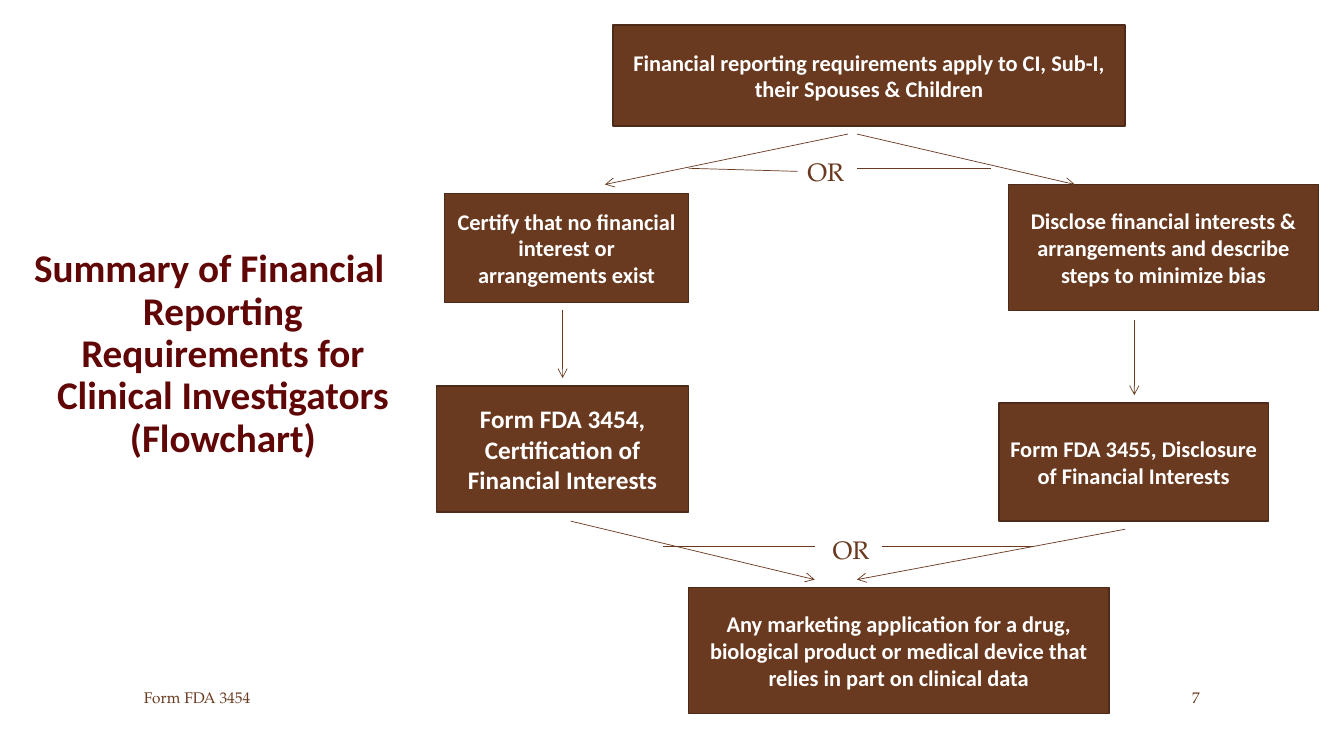
import pptx
import pptx.util
import pptx.dml.color
import pptx.enum.shapes
import pptx.enum.text
import pptx.oxml.ns
import lxml.etree

Inches, Pt = pptx.util.Inches, pptx.util.Pt
RGBColor = pptx.dml.color.RGBColor
PP_ALIGN, MSO_ANCHOR = pptx.enum.text.PP_ALIGN, pptx.enum.text.MSO_ANCHOR

BROWN = RGBColor(0x6A, 0x3A, 0x20)
DARK_BROWN = RGBColor(0x4E, 0x2B, 0x18)
MAROON = RGBColor(0x61, 0x06, 0x06)
WHITE = RGBColor(0xFF, 0xFF, 0xFF)
SANS, SERIF = "Calibri", "TeX Gyre Pagella"

TITLE = "Summary of Financial Reporting Requirements for Clinical Investigators (Flowchart)"
STEPS = [
    ("Financial reporting requirements apply to CI, Sub-I, their Spouses & Children",
     (6.08, 0.25, 5.08, 1), 16),
    ("Certify that no financial interest or arrangements exist",
     (4.41, 1.92, 2.42, 1.08), 16),
    ("Disclose financial interests & arrangements and describe steps to minimize bias",
     (10, 1.83, 3.08, 1.25), 16),
    ("Form FDA 3454, Certification of Financial Interests",
     (4.33, 3.83, 2.5, 1.25), 18),
    ("Form FDA 3455, Disclosure of Financial Interests",
     (9.91, 4, 2.67, 1.17), 16),
    ("Any marketing application for a drug, biological product or medical device "
     "that relies in part on clinical data",
     (6.83, 5.83, 4.17, 1.25), 16),
]
ARROWS = [
    (8.41, 1.33, 6, 1.83),
    (8.5, 1.33, 10.66, 1.83),
    (5.58, 3.08, 5.58, 3.75),
    (11.25, 3.17, 11.25, 3.92),
    (5.66, 5.17, 8.08, 5.75),
    (11.16, 5.25, 8.5, 5.75),
]
OR_LINES = [
    (6.83, 1.67, 7.91, 1.7),
    (8.5, 1.67, 9.83, 1.67),
    (6.58, 5.42, 8.08, 5.42),
    (8.75, 5.42, 10.25, 5.42),
]
LABELS = [
    ("OR", (7.91, 1.5, 0.83, 0.4), 18, PP_ALIGN.LEFT, MSO_ANCHOR.TOP),
    ("OR", (8.16, 5.25, 0.67, 0.4), 18, PP_ALIGN.LEFT, MSO_ANCHOR.TOP),
    ("Form FDA 3454", (1.33, 6.75, 5.4, 0.33), 11, PP_ALIGN.LEFT, MSO_ANCHOR.MIDDLE),
    ("7", (11.22, 6.75, 0.78, 0.33), 11, PP_ALIGN.RIGHT, MSO_ANCHOR.MIDDLE),
]


def write(sp, text, size, name, color, bold, align, anchor):
    tf = sp.text_frame
    tf.word_wrap = True
    tf.auto_size = pptx.enum.text.MSO_AUTO_SIZE.NONE
    tf.vertical_anchor = anchor
    p = tf.paragraphs[0]
    p.text = text
    p.alignment = align
    p.font.size = Pt(size)
    p.font.name = name
    p.font.bold = bold
    p.font.color.rgb = color
    return p


def add_line(s, ends, arrow):
    line = s.shapes.add_connector(
        pptx.enum.shapes.MSO_CONNECTOR.STRAIGHT, *map(Inches, ends))
    line.line.color.rgb = BROWN
    line.line.width = Pt(0.5)
    qn = pptx.oxml.ns.qn
    if arrow:
        lxml.etree.SubElement(line.line._get_or_add_ln(), qn("a:tailEnd"), type="arrow")
    lxml.etree.SubElement(line._element.spPr, qn("a:effectLst"))


def main():
    prs = pptx.Presentation()
    prs.slide_width, prs.slide_height = Inches(13.33), Inches(7.5)
    s = prs.slides.add_slide(prs.slide_layouts[5])

    title = s.shapes.title
    title.left, title.top, title.width, title.height = map(Inches, (0.16, 2.42, 3.83, 2.28))
    p = write(title, TITLE, 28, SANS, MAROON, True, PP_ALIGN.CENTER, MSO_ANCHOR.TOP)
    p.line_spacing = 0.9
    pPr = p._p.get_or_add_pPr()
    pPr.set("marL", str(Inches(0.27)))
    pPr.set("indent", str(Inches(-0.27)))

    for text, box, size in STEPS:
        sp = s.shapes.add_shape(
            pptx.enum.shapes.MSO_SHAPE.RECTANGLE, *map(Inches, box))
        sp.shadow.inherit = False
        sp.fill.solid()
        sp.fill.fore_color.rgb = BROWN
        sp.line.color.rgb = DARK_BROWN
        sp.line.width = Pt(1)
        write(sp, text, size, SANS, WHITE, True, PP_ALIGN.CENTER, MSO_ANCHOR.MIDDLE)

    for ends in ARROWS:
        add_line(s, ends, True)
    for ends in OR_LINES:
        add_line(s, ends, False)

    for text, box, size, align, anchor in LABELS:
        sp = s.shapes.add_textbox(*map(Inches, box))
        write(sp, text, size, SERIF, BROWN, False, align, anchor)

    prs.save("out.pptx")


if __name__ == "__main__":
    main()
